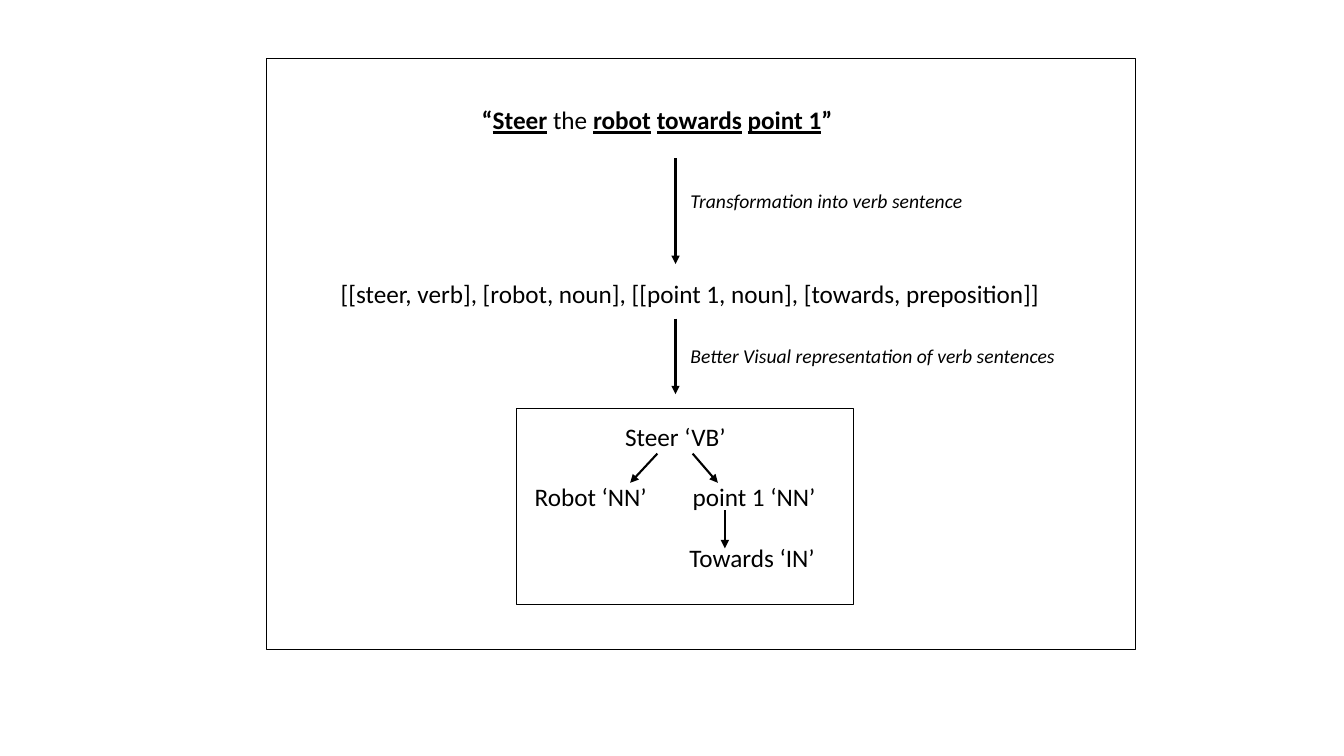
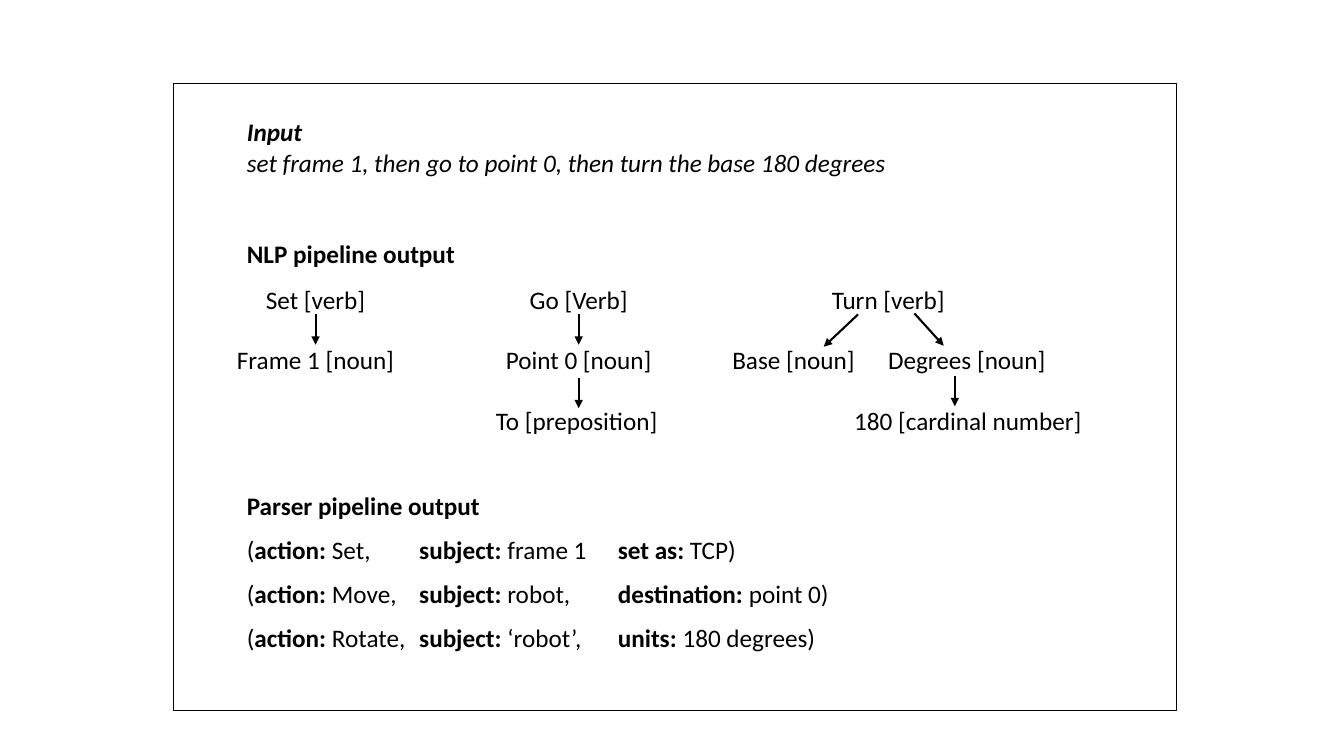
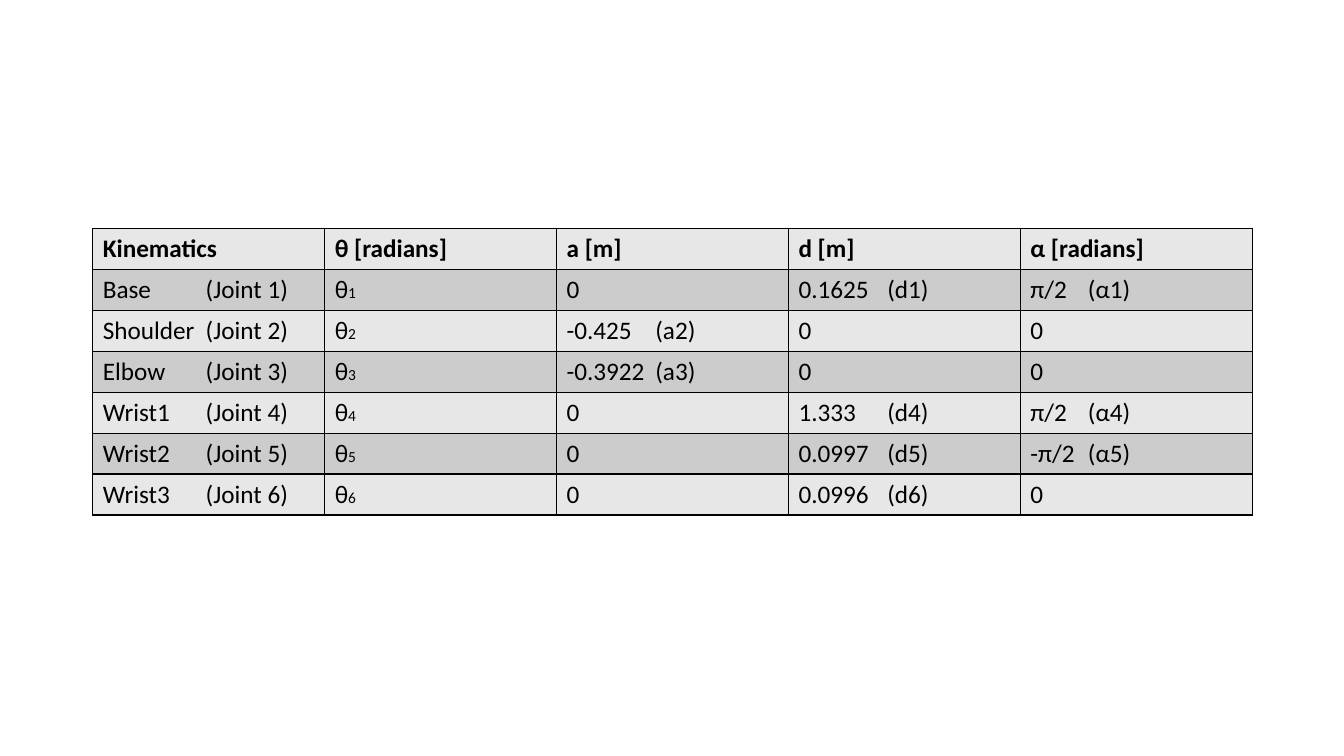
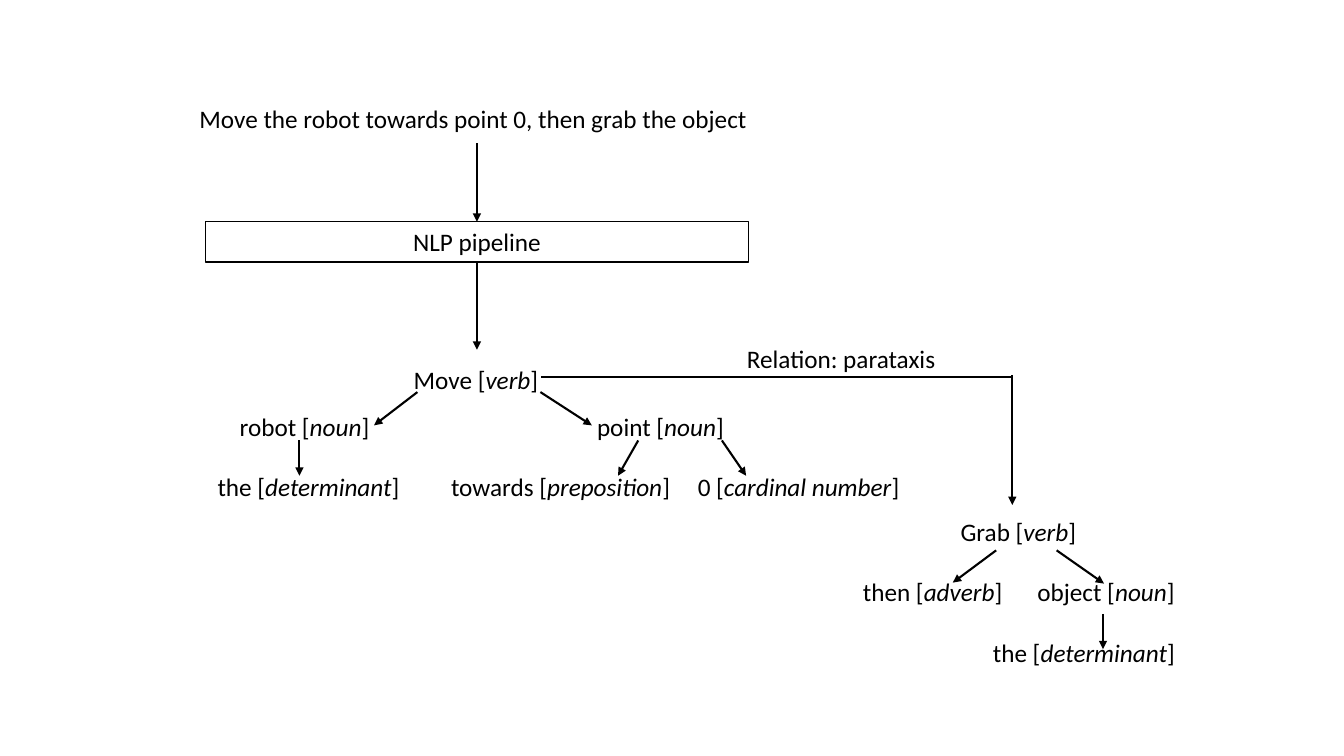
import pptx
import pptx.util
import pptx.dml.color
import pptx.enum.shapes
import pptx.enum.text
import pptx.oxml.ns
import lxml.etree

PX = 9144  # EMU in one px, 100 px to the inch
COLORS = {"ink": "000000", "light": "E7E7E7", "dark": "CCCCCC"}
FONT = "Calibri"
SIZE = 18
SMALL = 11
LINE_H = 30
CHAR_W = 10
NODE_PAD = 20
CENTER = pptx.enum.text.PP_ALIGN.CENTER
STRAIGHT = pptx.enum.shapes.MSO_CONNECTOR.STRAIGHT


def px(*lengths):
    return [pptx.util.Emu(n * PX) for n in lengths]


def rgb(name):
    return pptx.dml.color.RGBColor.from_string(COLORS[name])


def sub(parent, tag, **attrs):
    return lxml.etree.SubElement(parent, pptx.oxml.ns.qn(tag), attrs)


# Text: a paragraph is a string or a list of strings and (string, style) pairs.
# Style letters: b bold, i italic, u underlined, s small.
def set_font(font, style):
    if "b" in style:
        font.bold = True
    if "i" in style:
        font.italic = True
    if "u" in style:
        font.underline = True
    if "s" in style:
        font.size = pptx.util.Pt(SMALL)


def as_runs(content):
    if isinstance(content, str):
        content = [content]
    return [(r, "") if isinstance(r, str) else r for r in content]


def fill_paragraph(p, content, size=SIZE, align=None, tabs=(), before=None):
    if tabs:
        tab_list = sub(p._p.get_or_add_pPr(), "a:tabLst")
        for tab in tabs:
            sub(tab_list, "a:tab", pos=str(tab * PX), algn="l")
    if align is not None:
        p.alignment = align
    if before:
        p.space_before = pptx.util.Pt(before)
    p.font.name = FONT
    p.font.size = pptx.util.Pt(size)
    p.font.color.rgb = rgb("ink")
    runs = as_runs(content)
    for text, style in runs:
        r = p.add_run()
        r.text = text
        set_font(p.font if len(runs) == 1 else r.font, style)


def add_text(s, x, y, w, paragraphs, h=40, before=None, **options):
    sp = s.shapes.add_textbox(*px(x, y, w, h))
    tf = sp.text_frame
    tf.word_wrap = True
    for i, content in enumerate(paragraphs):
        p = tf.add_paragraph() if i else tf.paragraphs[0]
        fill_paragraph(p, content, before=before if i else None, **options)
    return sp


def add_frame(s, x, y, w, h):
    sp = s.shapes.add_shape(pptx.enum.shapes.MSO_SHAPE.RECTANGLE, *px(x, y, w, h))
    sp.shadow.inherit = False
    sp.fill.background()
    sp.line.color.rgb = rgb("ink")
    sp.line.width = pptx.util.Pt(0.75)
    return sp


def add_line(s, x1, y1, x2, y2, arrow=True, start=None, end=None):
    cn = s.shapes.add_connector(STRAIGHT, *px(x1, y1, x2, y2))
    cn.line.color.rgb = rgb("ink")
    cn.line.width = pptx.util.Pt(1.5)
    if arrow:
        sub(cn.line._get_or_add_ln(), "a:tailEnd", type="triangle")
    sub(cn._element.spPr, "a:effectLst")
    if start is not None:
        cn.begin_connect(start, 2)
    if end is not None:
        cn.end_connect(end, 0)
    return cn


# Word tree: nodes are (centre x, centre y, content), arrows are end points,
# joins are pairs of node numbers; all lengths count from the origin x, y.
def add_node(s, cx, cy, content):
    w = NODE_PAD + CHAR_W * sum(len(text) for text, _ in as_runs(content))
    sp = s.shapes.add_textbox(*px(cx - w // 2, cy - LINE_H // 2, w, LINE_H))
    tf = sp.text_frame
    tf.word_wrap = False
    tf.margin_left = tf.margin_right = tf.margin_top = tf.margin_bottom = 0
    fill_paragraph(tf.paragraphs[0], content, align=CENTER)
    return sp


def add_tree(s, x, y, nodes, arrows=(), joins=()):
    boxes = [add_node(s, x + cx, y + cy, content) for cx, cy, content in nodes]
    for x1, y1, x2, y2 in arrows:
        add_line(s, x + x1, y + y1, x + x2, y + y2)
    for i, j in joins:
        add_line(s, 0, 0, 0, 0, start=boxes[i], end=boxes[j])


def tagged(word, tag):
    return [word + " [", (tag, "i"), "]"]


def sentence_slide(s, x, y, w, h):
    add_frame(s, x, y, w, h)
    # Sentence and its list form
    add_text(s, x + 204, y + 41, 640, [[
        ("“", "b"), ("Steer", "bu"), " the ", ("robot", "bu"), " ",
        ("towards", "bu"), " ", ("point 1", "bu"), ("”", "b")]])
    add_text(s, x + 64, y + 213, 783, [
        "[[steer, verb], [robot, noun], [[point 1, noun], [towards, preposition]]"])
    # Steps
    for top, bottom, label_y, label in (
            (99, 204, 125, "Transformation into verb sentence"),
            (258, 333, 278, "Better Visual representation of verb sentences")):
        add_line(s, x + 406, y + top, x + 406, y + bottom)
        add_text(s, x + 411, y + label_y, 438, [[(label, "i")]], h=34, size=14)
    # Tree
    add_frame(s, x + 248, y + 347, 335, 195)
    add_tree(s, x + 248, y + 347,
             [(158, 28, "Steer ‘VB’"), (74, 88, "Robot ‘NN’"),
              (236, 88, "point 1 ‘NN’"), (234, 148, "Towards ‘IN’")],
             [(140, 45, 113, 74), (175, 45, 200, 74), (207, 101, 207, 139)])


def pipeline_slide(s, x, y, w, h):
    add_frame(s, x, y, w, h)
    # Input and headings
    left = x + 63
    add_text(s, left, y + 28, 734, [
        [("Input", "bi")],
        [("set frame 1, then go to point 0, then turn the base 180 degrees", "i")]], h=70)
    add_text(s, left, y + 149, 734, [[("NLP pipeline output", "b")]])
    # Trees, one for each verb
    rows = [15, 75, 135]
    top = y + 199
    add_tree(s, x + 141, top,
             [(0, rows[0], "Set [verb]"), (0, rows[1], "Frame 1 [noun]")], joins=[(0, 1)])
    add_tree(s, x + 402, top,
             [(0, rows[0], "Go [Verb]"), (0, rows[1], "Point 0 [noun]"),
              (-2, rows[2], "To [preposition]")],
             [(0, 93, 0, 123)], joins=[(0, 1)])
    add_tree(s, x + 709, top,
             [(0, rows[0], "Turn [verb]"), (-94, rows[1], "Base [noun]"),
              (78, rows[1], "Degrees [noun]"), (79, rows[2], "180 [cardinal number]")],
             [(-30, 30, -64, 62), (26, 29, 55, 61), (66, 91, 66, 121)])
    # Parser output
    commands = [("Set,", "frame 1", "set as:", "TCP"),
                ("Move,", "robot,", "destination:", "point 0"),
                ("Rotate,", "‘robot’,", "units:", "180 degrees")]
    lines = [["(", ("action:", "b"), f" {action}\t", ("subject:", "b"), f" {subject}\t",
              (key, "b"), f" {value})"] for action, subject, key, value in commands]
    add_text(s, left, y + 399, 734, [[("Parser pipeline output", "b")]] + lines,
             h=170, before=9.6, tabs=(171, 368))


def set_cell(cell, content, fill, tabs):
    cell.fill.solid()
    cell.fill.fore_color.rgb = rgb(fill)
    fill_paragraph(cell.text_frame.paragraphs[0], content, tabs=tabs)
    tcPr = cell._tc.get_or_add_tcPr()
    for i, side in enumerate(("a:lnL", "a:lnR", "a:lnT", "a:lnB")):
        ln = sub(tcPr, side, w="12700")
        sub(sub(ln, "a:solidFill"), "a:srgbClr", val=COLORS["ink"])
        tcPr.insert(i, ln)


def kinematics_slide(s, x, y, w, h):
    header = ["Kinematics", "θ [radians]", "a [m]", "d [m]", "α [radians]"]
    joints = [("Base", "0", "0.1625\t(d1)", "π/2\t(α1)"),
              ("Shoulder", "-0.425\t(a2)", "0", "0"),
              ("Elbow", "-0.3922\t(a3)", "0", "0"),
              ("Wrist1", "0", "1.333\t(d4)", "π/2\t(α4)"),
              ("Wrist2", "0", "0.0997\t(d5)", "-π/2\t(α5)"),
              ("Wrist3", "0", "0.0996\t(d6)", "0")]
    rows = [[[(name, "b")] for name in header]]
    for n, (joint, *values) in enumerate(joints, 1):
        rows.append([f"{joint}\t(Joint {n})", ["θ", (str(n), "s")], *values])
    tabs = [102, None, 88, 88, 57]
    table = s.shapes.add_table(len(rows), len(header), *px(x, y, w, h)).table
    table.first_row = table.horz_banding = False
    for i, row in enumerate(rows):
        for j, content in enumerate(row):
            set_cell(table.cell(i, j), content, "dark" if i % 2 else "light",
                     [tabs[j]] if tabs[j] and "\t" in content else [])


def parataxis_slide(s, x, y):
    # Sentence through the pipeline
    add_text(s, x, y, 570, ["Move the robot towards point 0, then grab the object"])
    box = add_frame(s, x + 16, y + 122, 538, 40)
    tf = box.text_frame
    tf.vertical_anchor = pptx.enum.text.MSO_ANCHOR.MIDDLE
    fill_paragraph(tf.paragraphs[0], "NLP pipeline", align=CENTER)
    add_line(s, x + 285, y + 44, x + 285, y + 122, end=box)
    add_line(s, x + 285, y + 162, x + 285, y + 249, start=box)
    # Move tree
    add_tree(s, x + 284, y + 278,
             [(0, 0, tagged("Move", "verb")), (-170, 47, tagged("robot", "noun")),
              (183, 47, tagged("point", "noun")), (-166, 107, tagged("the", "determinant")),
              (84, 107, tagged("towards", "preposition")),
              (320, 107, tagged("0", "cardinal number"))],
             [(-58, 13, -101, 46), (64, 13, 115, 46), (-175, 61, -175, 96),
              (161, 61, 141, 96), (244, 61, 268, 96)])
    # Relation between the trees
    add_line(s, x + 349, y + 276, x + 816, y + 276, arrow=False)
    add_line(s, x + 816, y + 274, x + 816, y + 403)
    add_text(s, x + 543, y + 238, 209, ["Relation: parataxis"])
    # Grab tree
    add_tree(s, x + 822, y + 429,
             [(0, 0, tagged("Grab", "verb")), (-85, 60, tagged("then", "adverb")),
              (87, 60, tagged("object", "noun")), (65, 120, tagged("the", "determinant"))],
             [(-22, 19, -65, 51), (38, 19, 85, 52), (84, 82, 84, 117)])


def main():
    prs = pptx.Presentation()
    prs.slide_width, prs.slide_height = px(1333, 750)
    blank = prs.slide_layouts[6]
    for build, box in ((sentence_slide, (264, 58, 862, 586)),
                       (pipeline_slide, (172, 83, 995, 622)),
                       (kinematics_slide, (92, 227, 1150, 284)),
                       (parataxis_slide, (188, 98))):
        build(prs.slides.add_slide(blank), *box)
    prs.save("out.pptx")


if __name__ == "__main__":
    main()
